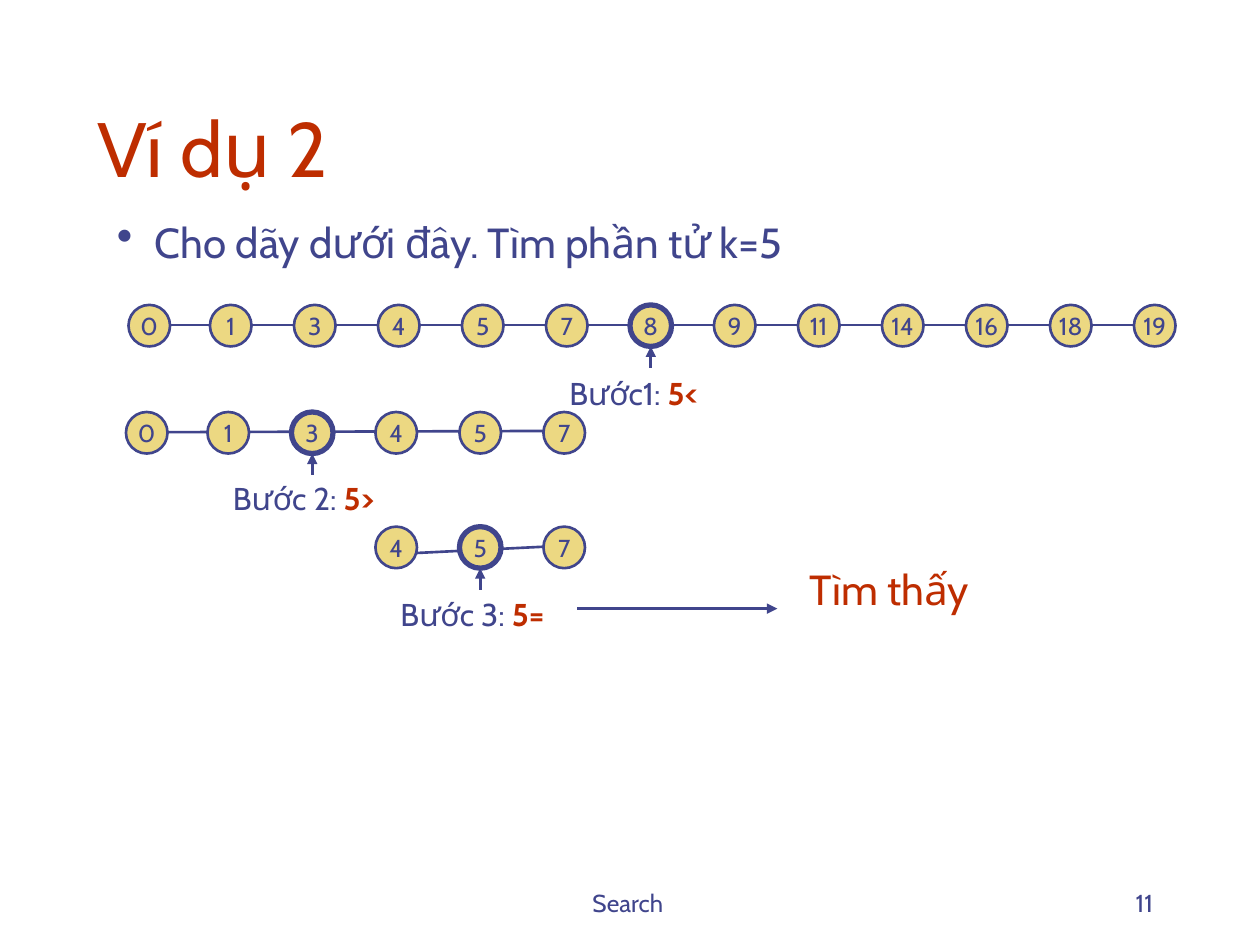
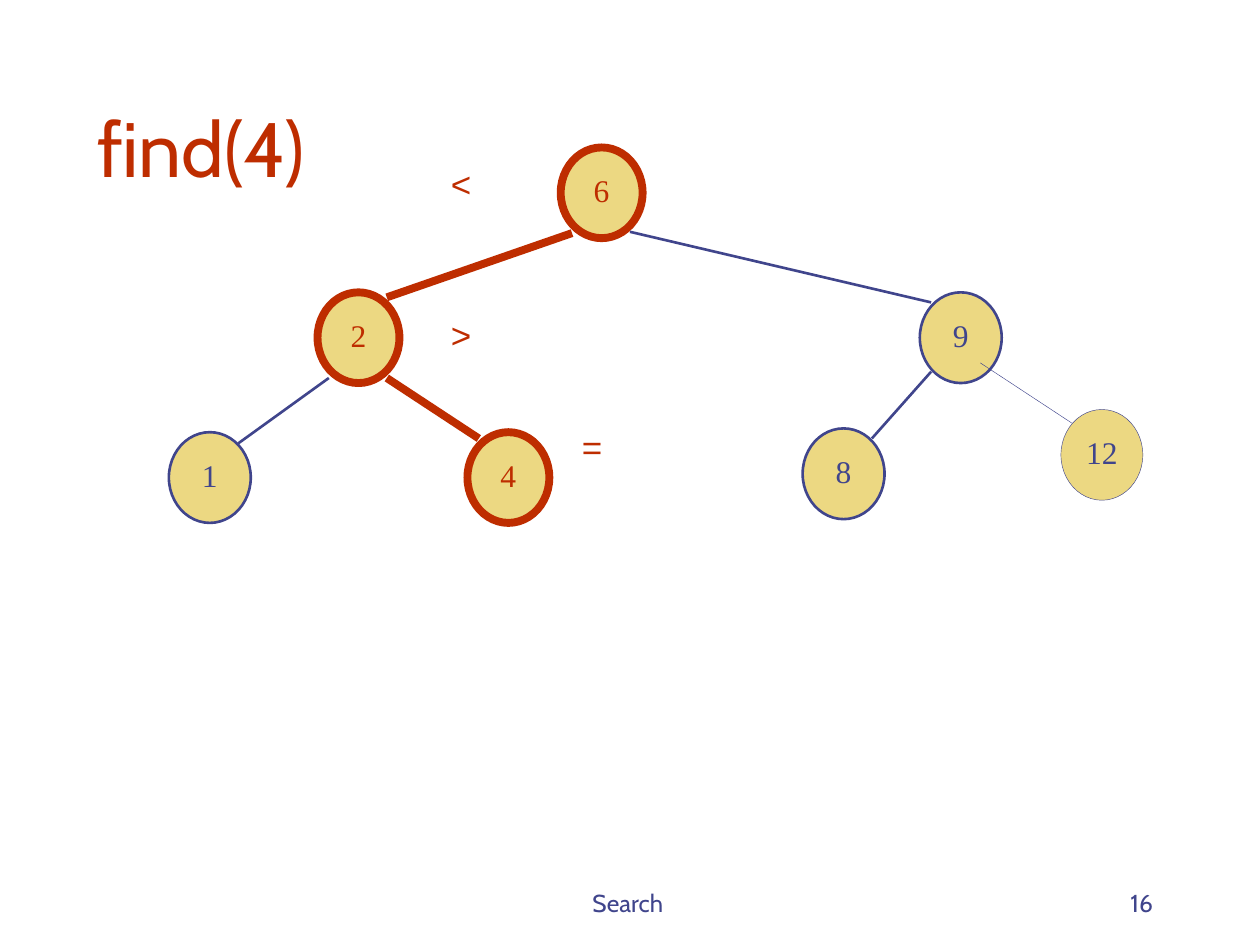
"""Build two slides: binary search in a sorted list and find(4) in a search tree."""
from lxml import etree
from pptx import Presentation
from pptx.dml.color import RGBColor
from pptx.enum.shapes import MSO_CONNECTOR, MSO_SHAPE
from pptx.enum.text import MSO_ANCHOR, PP_ALIGN
from pptx.oxml.ns import qn
from pptx.util import Inches, Pt

ELLIPSE, STRAIGHT = MSO_SHAPE.OVAL, MSO_CONNECTOR.STRAIGHT
TOP, MIDDLE, BOTTOM = MSO_ANCHOR.TOP, MSO_ANCHOR.MIDDLE, MSO_ANCHOR.BOTTOM
LEFT, CENTER, RIGHT = PP_ALIGN.LEFT, PP_ALIGN.CENTER, PP_ALIGN.RIGHT
BLUE, RED, SAND = "40458C", "BE2D00", "ECD882"
SANS, SERIF, SYMBOL = "Cabin", "Times New Roman", "Arial"


def add_text(s, at, runs, size, font=SANS, align=LEFT, anchor=TOP, wrap=True,
             insets=(0.1, 0.05, 0.1, 0.05), outline=None, title=False):
    """Add a title, an outlined ellipse or a text box, and write its runs."""
    box = [Inches(v) for v in at]
    if title:
        sp = s.shapes.title
        sp.left, sp.top, sp.width, sp.height = box
    elif outline:
        sp = s.shapes.add_shape(ELLIPSE, *box)
        sp.shadow.inherit = False
        sp.fill.solid()
        sp.fill.fore_color.rgb = RGBColor.from_string(SAND)
        sp.line.color.rgb = RGBColor.from_string(outline[0])
        sp.line.width = Pt(outline[1])
    else:
        sp = s.shapes.add_textbox(*box)
    tf = sp.text_frame
    tf.word_wrap, tf.vertical_anchor = wrap, anchor
    tf.margin_left, tf.margin_top, tf.margin_right, tf.margin_bottom = [Inches(v) for v in insets]
    p = tf.paragraphs[0]
    p.alignment = align
    for text, color, bold in runs:
        r = p.add_run()
        r.text = text
        r.font.name, r.font.size, r.font.bold = font, Pt(size), bold
        r.font.color.rgb = RGBColor.from_string(color)
    return sp


def add_line(s, x1, y1, x2, y2, color=BLUE, width=1.5, arrow=False):
    """Draw a straight connector, with an arrowhead at its end if asked."""
    c = s.shapes.add_connector(STRAIGHT, Inches(x1), Inches(y1), Inches(x2), Inches(y2))
    c.line.color.rgb = RGBColor.from_string(color)
    c.line.width = Pt(width)
    if arrow:
        etree.SubElement(c.line._get_or_add_ln(), qn("a:tailEnd"), type="triangle")
    etree.SubElement(c._element.spPr, qn("a:effectLst"))


prs = Presentation()
prs.slide_width, prs.slide_height = Inches(10), Inches(7.5)
slides = []
for title, number in [("Ví dụ 2", "11"), ("find(4)", "16")]:
    s = prs.slides.add_slide(prs.slide_layouts[5])
    add_text(s, (0.67, 0.33, 8.5, 1.25), [(title, RED, False)], 44, anchor=BOTTOM, title=True)
    add_text(s, (3.42, 6.83, 3.17, 0.5), [("Search ", BLUE, False)], 14, align=CENTER, anchor=BOTTOM)
    add_text(s, (7.17, 6.83, 2.08, 0.5), [(number, BLUE, False)], 14, align=RIGHT, anchor=BOTTOM)
    slides.append(s)
search, tree = slides

sp = add_text(search, (0.83, 1.67, 8, 0.5), [("Cho dãy dưới đây. Tìm phần tử k=5", BLUE, False)], 24)
pPr = sp.text_frame.paragraphs[0]._p.get_or_add_pPr()
pPr.set("marL", str(Inches(0.3)))
pPr.set("indent", str(-Inches(0.3)))
color = etree.SubElement(pPr, qn("a:buClr"))
etree.SubElement(color, qn("a:srgbClr"), val=BLUE)
etree.SubElement(pPr, qn("a:buSzPct"), val="110000")
etree.SubElement(pPr, qn("a:buChar"), char="•")

DIAMETER, STEP = 0.33, 2 / 3
values = [0, 1, 3, 4, 5, 7, 8, 9, 11, 14, 16, 18, 19]
steps = [
    (1, 2.42, 0, 12, 6, (1.35, 2.58, 9, 2.58), "Bước1: ", "5<", 4.42, 2.92),
    (0.98, 3.27, 0, 5, 2, (1.33, 3.43, 4.5, 3.42), "Bước 2: ", "5>", 1.75, 3.75),
    (0.98, 4.18, 3, 5, 4, (3.08, 4.4, 4.5, 4.33), "Bước 3: ", "5=", 3.08, 4.67),
]
for left, top, low, high, mid, link, label, result, label_x, label_y in steps:
    add_line(search, *link)
    for i in range(low, high + 1):
        x = left + i * STEP + (0.02 if i == 0 else 0)
        add_text(search, (x, top, DIAMETER, DIAMETER), [(str(values[i]), BLUE, False)], 14,
                 align=CENTER, anchor=MIDDLE, wrap=False, outline=(BLUE, 3 if i == mid else 1.5))
    add_text(search, (label_x, label_y, 1.75, 0.4), [(label, BLUE, False), (result, RED, True)], 18)
    x, bottom = left + mid * STEP + DIAMETER / 2, top + DIAMETER
    add_line(search, x, bottom + 0.17, x, bottom, arrow=True)
add_line(search, 4.58, 4.83, 6.17, 4.83, arrow=True)
add_text(search, (6.33, 4.42, 3.08, 0.5), [("Tìm thấy", RED, False)], 24)

nodes = [
    ("6", 4.45, 1.17, RED, 4.5), ("9", 7.3, 2.32, BLUE, 1.5), ("2", 2.52, 2.32, RED, 4.5),
    ("4", 3.71, 3.43, RED, 4.5), ("1", 1.34, 3.43, BLUE, 1.5), ("8", 6.37, 3.4, BLUE, 1.5),
    ("12", 8.42, 3.25, BLUE, 0.25),
]
for key, x, y, color, width in nodes:
    add_text(tree, (x, y, 0.65, 0.72), [(key, color, False)], 18, SERIF, CENTER, MIDDLE,
             wrap=False, insets=(0, 0, 0, 0.05), outline=(color, width))
edges = [
    (4.54, 1.85, 3.07, 2.36, RED, 4.5), (7.39, 2.4, 5, 1.84, BLUE, 1.5),
    (6.92, 3.48, 7.39, 2.95, BLUE, 1.5), (1.89, 3.52, 2.61, 3, BLUE, 1.5),
    (3.8, 3.48, 3.07, 3, RED, 4.5), (8.51, 3.36, 7.78, 2.88, BLUE, 0.25),
]
for edge in edges:
    add_line(tree, *edge)
for sign, x, y, width in [("<", 3.48, 1.24, 0.36), (">", 3.48, 2.44, 0.36), ("=", 4.49, 3.33, 0.42)]:
    add_text(tree, (x, y, width, 0.44), [(sign, RED, False)], 20, SYMBOL, CENTER, wrap=False)

prs.save("out.pptx")
